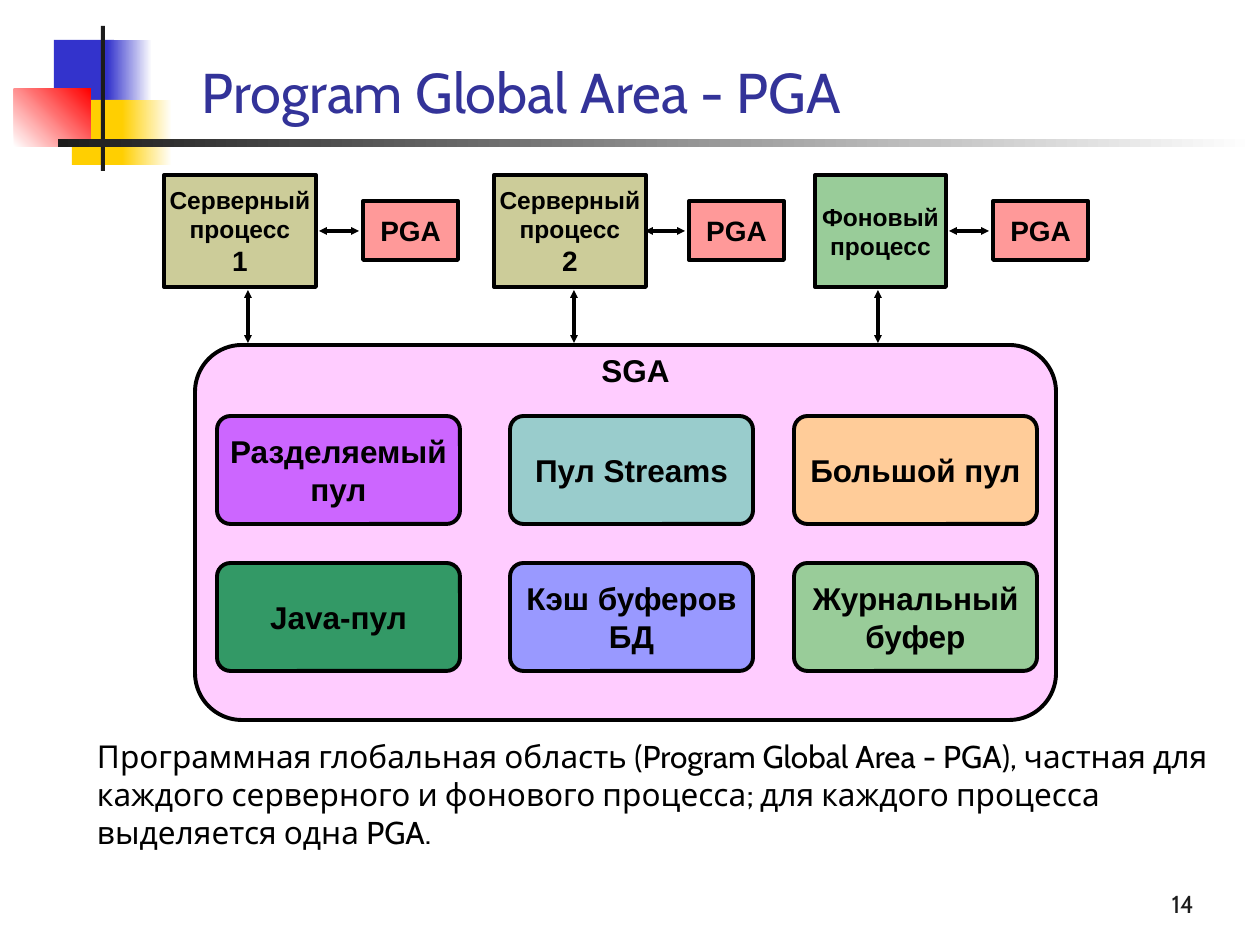
from pptx import Presentation
from pptx.dml.color import RGBColor as RGB
from pptx.enum.shapes import MSO_CONNECTOR as CONN, MSO_SHAPE as SHAPE
from pptx.enum.text import MSO_ANCHOR as ANCHOR, PP_ALIGN as ALIGN
from pptx.oxml.ns import qn
from pptx.util import Pt
from lxml import etree

PX = 914400 / 126

BLACK = RGB(0x00, 0x00, 0x00)
WHITE = RGB(0xFF, 0xFF, 0xFF)
DARK = RGB(0x1C, 0x1C, 0x1C)
NAVY = RGB(0x33, 0x33, 0x99)
BLUE = RGB(0x33, 0x33, 0xCC)
YELLOW = RGB(0xFF, 0xCF, 0x01)
RED = RGB(0xFF, 0x00, 0x00)
PINK = RGB(0xFF, 0xCC, 0xFF)
PURPLE = RGB(0xCC, 0x66, 0xFF)
TEAL = RGB(0x99, 0xCC, 0xCC)
PEACH = RGB(0xFF, 0xCC, 0x99)
GREEN = RGB(0x33, 0x99, 0x66)
PERIWINKLE = RGB(0x99, 0x99, 0xFF)
LIGHT_GREEN = RGB(0x99, 0xCC, 0x99)
KHAKI = RGB(0xCC, 0xCC, 0x99)
SALMON = RGB(0xFF, 0x99, 0x99)


def px(*values):
    return [round(v * PX) for v in values]


def write(sp, lines, font="Arial", color=BLACK, bold=True, align=ALIGN.CENTER,
          anchor=ANCHOR.MIDDLE, inset=(2, 6)):
    tf = sp.text_frame
    tf.word_wrap = True
    tf.vertical_anchor = anchor
    tf.margin_left = tf.margin_right = px(inset[0])[0]
    tf.margin_top = tf.margin_bottom = px(inset[1])[0]
    for i, (text, size) in enumerate(lines):
        p = tf.add_paragraph() if i else tf.paragraphs[0]
        p.text = text
        p.alignment = align
        p.font.name = font
        p.font.size = Pt(size)
        p.font.bold = bold
        p.font.color.rgb = color
    return tf


def add_text(slide, box, text, size, **style):
    return write(slide.shapes.add_textbox(*px(*box)), [(text, size)], **style)


def add_box(slide, box, fill, lines=(), kind=SHAPE.RECTANGLE):
    sp = slide.shapes.add_shape(kind, *px(*box))
    sp.shadow.inherit = False
    if kind == SHAPE.ROUNDED_RECTANGLE:
        sp.adjustments[0] = 0.125
    sp.fill.solid()
    sp.fill.fore_color.rgb = fill
    sp.line.color.rgb = BLACK
    sp.line.width = Pt(2.25)
    if lines:
        write(sp, lines)
    return sp


def add_arrow(slide, x1, y1, x2, y2):
    line = slide.shapes.add_connector(CONN.STRAIGHT, *px(x1, y1, x2, y2))
    line.line.color.rgb = BLACK
    line.line.width = Pt(2.25)
    ln = line.line._get_or_add_ln()
    for end in ("a:headEnd", "a:tailEnd"):
        etree.SubElement(ln, qn(end), type="triangle", w="sm", len="sm")
    etree.SubElement(line._element.spPr, qn("a:effectLst"))


def add_ornament(slide, left, top):
    parts = [
        (40, 14, 60, 66, BLUE, None, 0),
        (93, 14, 45, 66, BLUE, WHITE, 0),
        (58, 74, 58, 65, YELLOW, None, 0),
        (108, 74, 50, 65, YELLOW, WHITE, 0),
        (0, 63, 77, 58, WHITE, RED, 45),
        (87, 0, 4, 145, DARK, None, 0),
        (44, 113, 1198, 8, DARK, WHITE, 0),
    ]
    for x, y, w, h, start, end, angle in parts:
        sp = add_box(slide, (left + x, top + y, w, h), start)
        sp.line.fill.background()
        if end is not None:
            sp.fill.gradient()
            sp.fill.gradient_angle = angle
            for stop, color in zip(sp.fill.gradient_stops, (start, end)):
                stop.color.rgb = color


def add_sga(slide, left, top, width, height):
    add_box(slide, (left, top, width, height), PINK, kind=SHAPE.ROUNDED_RECTANGLE)
    tf = add_text(slide, (left + 303, top + 8, 275, 40), "SGA", 18,
                  anchor=ANCHOR.TOP, inset=(8, 4))
    tf.paragraphs[0].line_spacing = 0.85
    pools = [
        [("Разделяемый пул", PURPLE), ("Пул Streams", TEAL), ("Большой пул", PEACH)],
        [("Java-пул", GREEN), ("Кэш буферов БД", PERIWINKLE),
         ("Журнальный буфер", LIGHT_GREEN)],
    ]
    for y, row in zip((71, 218), pools):
        for x, (name, fill) in zip((22, 315, 599), row):
            add_box(slide, (left + x, top + y, 243, 108), fill, [(name, 18)],
                    SHAPE.ROUNDED_RECTANGLE)


def add_process(slide, left, top, width, height, pga_left, fill, lines):
    add_box(slide, (left, top, width, height), fill, lines)
    add_box(slide, (pga_left, top + 26, 95, 59), SALMON, [("PGA", 16)])
    add_arrow(slide, pga_left - 44, top + 56, pga_left - 4, top + 56)
    add_arrow(slide, pga_left - 115, top + 115, pga_left - 115, top + 168)


def main():
    prs = Presentation()
    prs.slide_width, prs.slide_height = px(1260, 945)
    slide = prs.slides.add_slide(prs.slide_layouts[6])

    add_ornament(slide, 14, 26)
    add_text(slide, (189, -24, 1071, 155), "Program Global Area - PGA", 32,
             font="Cabin", color=NAVY, bold=False, align=ALIGN.LEFT,
             anchor=ANCHOR.BOTTOM, inset=(13, 6))
    add_sga(slide, 195, 345, 861, 375)
    server = "Серверный процесс"
    add_process(slide, 164, 175, 152, 112, 363, KHAKI, [(server, 14), ("1", 16)])
    add_process(slide, 494, 175, 152, 112, 689, KHAKI, [(server, 14), ("2", 16)])
    add_process(slide, 815, 175, 131, 112, 993, LIGHT_GREEN, [("Фоновый процесс", 14)])
    add_text(slide, (945, 861, 262, 63), "14", 14, font="Cabin", color=DARK,
             bold=False, align=ALIGN.RIGHT, anchor=ANCHOR.BOTTOM, inset=(13, 6))
    add_text(slide, (84, 731, 1142, 126),
             "Программная глобальная область (Program Global Area - PGA), "
             "частная для каждого серверного и фонового процесса; "
             "для каждого процесса выделяется одна PGA.",
             18, font="Cabin", bold=False, align=ALIGN.LEFT,
             anchor=ANCHOR.TOP, inset=(13, 6))
    prs.save("out.pptx")


if __name__ == "__main__":
    main()
